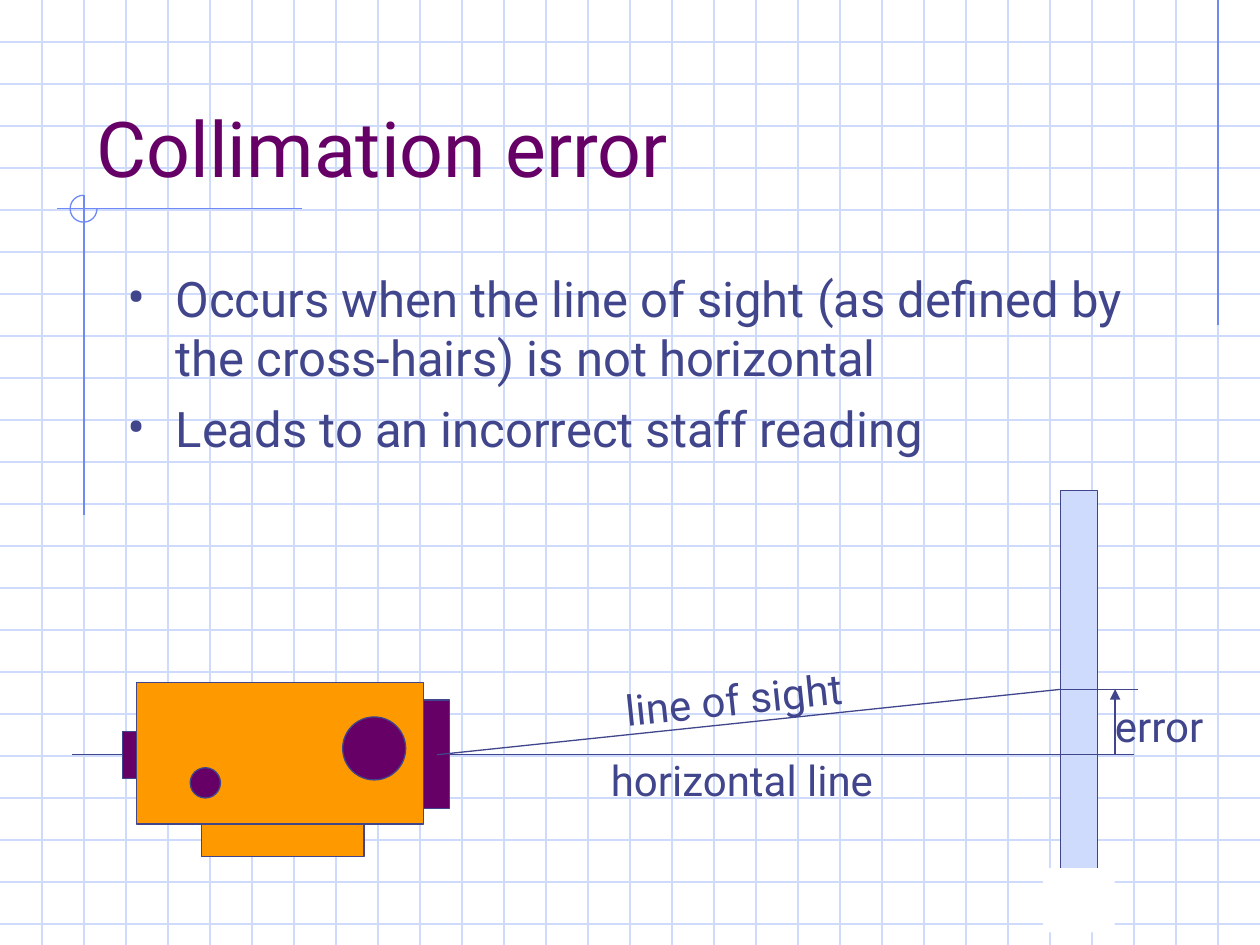
import pptx
import pptx.dml.color
import pptx.enum.shapes
import pptx.enum.text
import pptx.oxml
import pptx.oxml.ns
import pptx.util

RGBColor = pptx.dml.color.RGBColor
SHAPE = pptx.enum.shapes.MSO_SHAPE
STRAIGHT = pptx.enum.shapes.MSO_CONNECTOR.STRAIGHT
ANCHOR = pptx.enum.text.MSO_ANCHOR
AUTO_SIZE = pptx.enum.text.MSO_AUTO_SIZE
ALIGN = pptx.enum.text.PP_ALIGN
Pt = pptx.util.Pt

WHITE = RGBColor(0xFF, 0xFF, 0xFF)
PALE_BLUE = RGBColor(0xCF, 0xDB, 0xFD)
MID_BLUE = RGBColor(0x6F, 0x89, 0xF7)
INDIGO = RGBColor(0x40, 0x45, 0x8C)
PURPLE = RGBColor(0x66, 0x00, 0x66)
ORANGE = RGBColor(0xFF, 0x99, 0x00)

# The slide is squared paper: all places are in cells of a third of an inch.
CELL = pptx.util.Inches(1) // 3
COLS, ROWS = 30, 22.5
AXIS_Y, SIGHT_Y = 17.97, 16.41

BULLETS = [
    "Occurs when the line of sight (as defined by the cross-hairs) is not horizontal",
    "Leads to an incorrect staff reading",
]


def cells(*counts):
    return [pptx.util.Emu(round(n * CELL)) for n in counts]


def add_xml(parent, tag, **attrs):
    el = pptx.oxml.parse_xml(f"<a:{tag} {pptx.oxml.ns.nsdecls('a')}/>")
    for name, value in attrs.items():
        el.set(name, value)
    parent.append(el)


def add_line(shapes, x1, y1, x2, y2, color=INDIGO, arrow=False):
    line = shapes.add_connector(STRAIGHT, *cells(x1, y1, x2, y2))
    line.line.color.rgb = color
    line.line.width = Pt(0.75)
    if arrow:
        add_xml(line.line._get_or_add_ln(), "tailEnd", type="triangle")
    add_xml(line._element.spPr, "effectLst")


def add_figure(shapes, kind, box, fill=None, outline=INDIGO):
    sp = shapes.add_shape(kind, *cells(*box))
    sp.shadow.inherit = False
    if fill is None:
        sp.fill.background()
    else:
        sp.fill.solid()
        sp.fill.fore_color.rgb = fill
    if outline is None:
        sp.line.fill.background()
    else:
        sp.line.color.rgb = outline
        sp.line.width = Pt(0.75)
    return sp


def format_font(p, size, color):
    for name, value in {"name": "Roboto", "size": Pt(size)}.items():
        setattr(p.font, name, value)
    p.font.color.rgb = color


def add_label(s, text, box, rotation=0):
    sp = s.shapes.add_textbox(*cells(*box))
    sp.rotation = rotation
    tf = sp.text_frame
    tf.word_wrap = False
    tf.auto_size = AUTO_SIZE.SHAPE_TO_FIT_TEXT
    p = tf.paragraphs[0]
    p.text = text
    format_font(p, 24, INDIGO)


def add_squared_paper(s):
    shapes = s.shapes.add_group_shape().shapes
    for row in range(1, int(ROWS) + 1):
        add_line(shapes, 0, row, COLS, row, PALE_BLUE)
    for col in range(1, COLS):
        add_line(shapes, col, 0, col, ROWS, PALE_BLUE)
    for ends in [(29, 0, 29, 7.74), (7.2, 4.97, 1.36, 4.97), (2, 4.65, 2, 12.27)]:
        add_line(shapes, *ends, MID_BLUE)
    arc = add_figure(shapes, SHAPE.ARC, (1.67, 4.65, 0.64, 0.64), outline=MID_BLUE)
    # Angles run clockwise from the right, in units of 5/3 degree.
    arc.adjustments[0], arc.adjustments[1] = 0, 270 * 0.6


def add_title(s, text):
    title = s.shapes.title
    title.left, title.top, title.width, title.height = cells(2, 1, 25.5, 3.75)
    title.element.getparent().append(title.element)  # in front of the paper
    tf = title.text_frame
    settings = {"vertical_anchor": ANCHOR.BOTTOM, "auto_size": AUTO_SIZE.NONE,
                "word_wrap": True}
    for name, value in settings.items():
        setattr(tf, name, value)
    p = tf.paragraphs[0]
    p.text = text
    p.alignment = ALIGN.LEFT
    format_font(p, 44, PURPLE)


def add_bullets(s, texts):
    tf = s.shapes.add_textbox(*cells(2.75, 6.25, 25.5, 13.5)).text_frame
    tf.word_wrap = True
    for i, text in enumerate(texts):
        p = tf.add_paragraph() if i else tf.paragraphs[0]
        p.text = text
        p.space_before = Pt(7 if i else 0)
        pPr = p._p.get_or_add_pPr()
        indent = pptx.util.Inches(0.38)
        pPr.set("marL", str(indent))
        pPr.set("indent", str(-indent))
        add_xml(pPr, "buSzPct", val="110000")
        add_xml(pPr, "buFont", typeface="Roboto")
        add_xml(pPr, "buChar", char="•")
        format_font(p, 28, INDIGO)


def add_level(s):
    """Draw the levelling instrument."""
    shapes = s.shapes.add_group_shape().shapes
    for kind, fill, box in [
        (SHAPE.RECTANGLE, ORANGE, (3.25, 16.25, 6.83, 3.37)),   # housing
        (SHAPE.RECTANGLE, PURPLE, (10.08, 16.67, 0.62, 2.58)),  # lens
        (SHAPE.RECTANGLE, PURPLE, (2.92, 17.42, 0.33, 1.12)),   # eyepiece
        (SHAPE.OVAL, PURPLE, (8.16, 17.07, 1.5, 1.5)),          # focus knob
        (SHAPE.OVAL, PURPLE, (4.53, 18.28, 0.72, 0.72)),        # small knob
        (SHAPE.RECTANGLE, ORANGE, (4.8, 19.62, 3.87, 0.78)),    # base
    ]:
        add_figure(shapes, kind, box, fill)


def add_staff(s):
    add_figure(s.shapes, SHAPE.RECTANGLE, (25.25, 11.67, 0.88, 10.05), PALE_BLUE)
    add_figure(s.shapes, SHAPE.RECTANGLE, (24.83, 20.67, 1.71, 1.53), WHITE, None)


def main():
    prs = pptx.Presentation()
    prs.slide_width, prs.slide_height = cells(COLS, ROWS)
    s = prs.slides.add_slide(prs.slide_layouts[5])
    add_squared_paper(s)
    add_line(s.shapes, 1.71, AXIS_Y, 25.32, AXIS_Y)
    add_title(s, "Collimation error")
    add_bullets(s, BULLETS)
    add_level(s)
    add_line(s.shapes, 10.41, AXIS_Y, 25.29, SIGHT_Y)
    add_label(s, "horizontal line", (14.25, 17.82, 7.32, 1.5))
    add_label(s, "line of sight", (14.58, 15.87, 6.09, 1.5), rotation=354)
    add_staff(s)
    add_line(s.shapes, 25.2, AXIS_Y, 27, AXIS_Y)
    add_line(s.shapes, 25.25, SIGHT_Y, 27.09, SIGHT_Y)
    add_label(s, "error", (26.25, 16.53, 3, 1.5))
    add_line(s.shapes, 26.55, AXIS_Y, 26.55, SIGHT_Y, arrow=True)
    prs.save("out.pptx")


if __name__ == "__main__":
    main()
